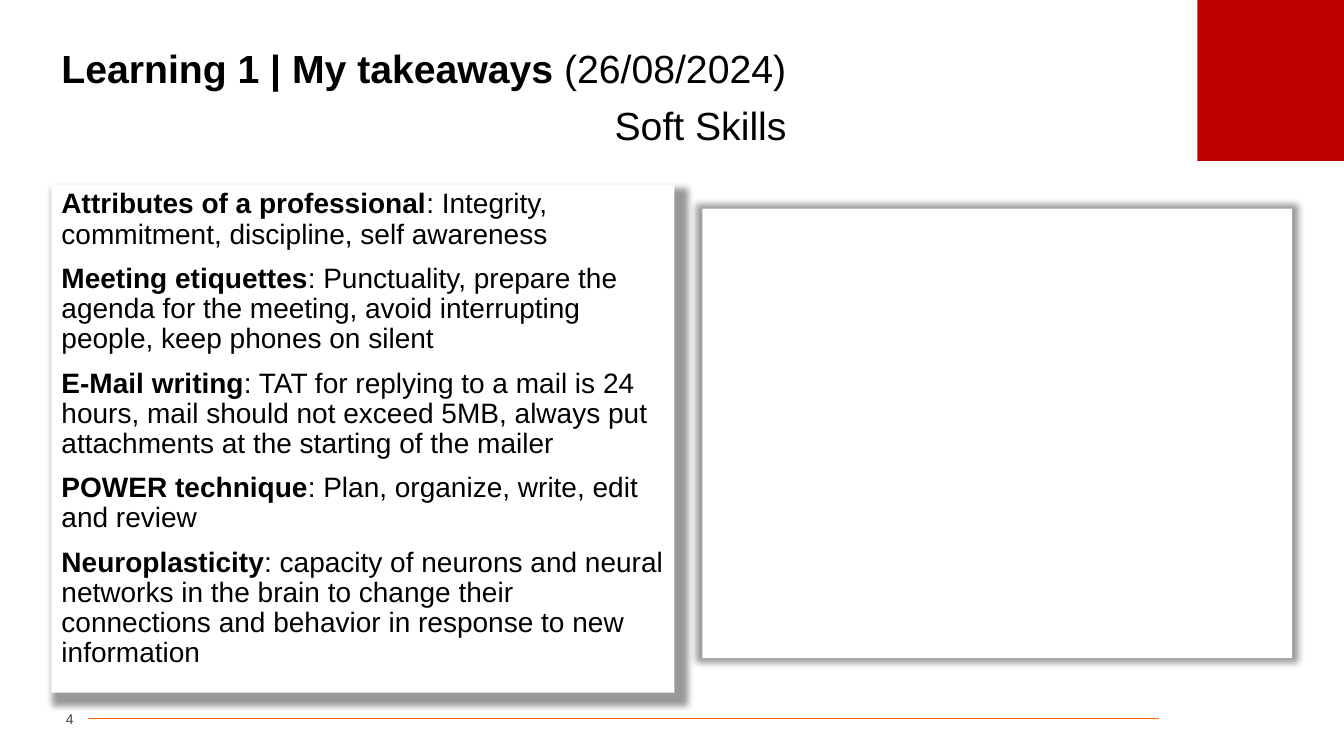
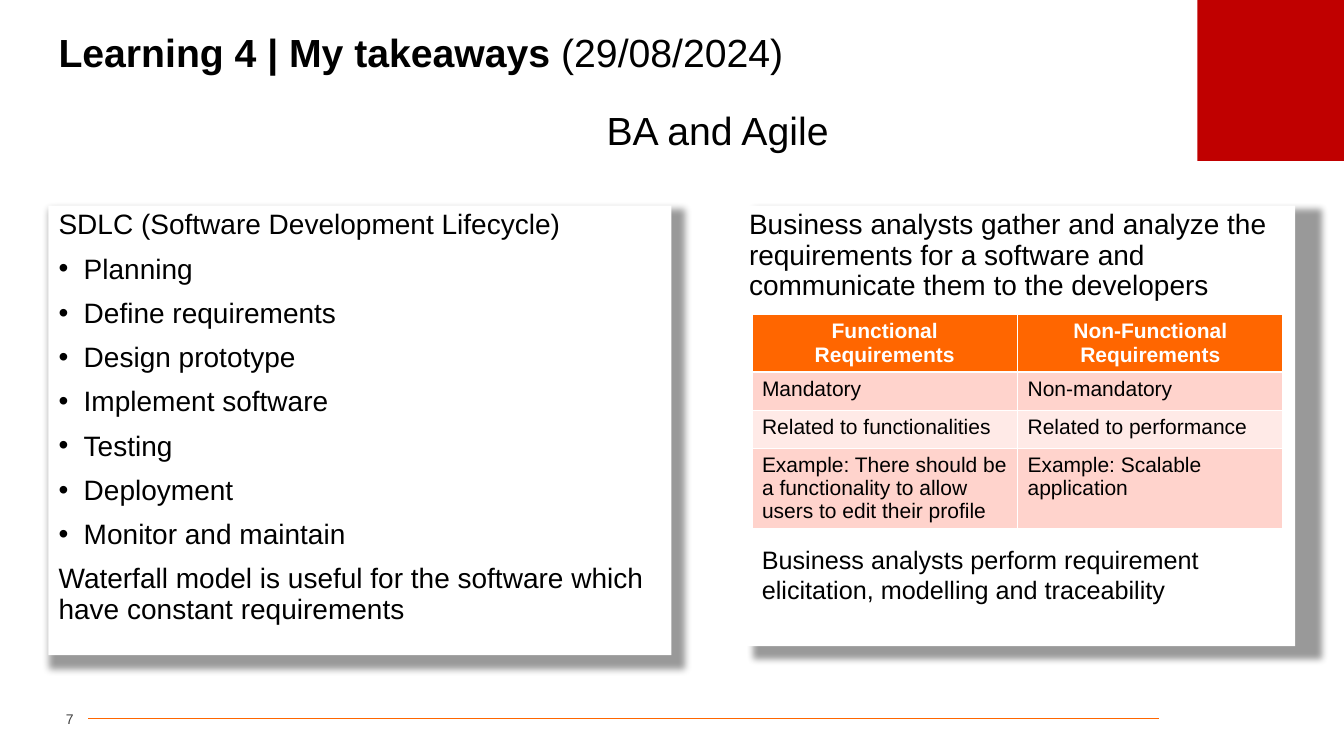
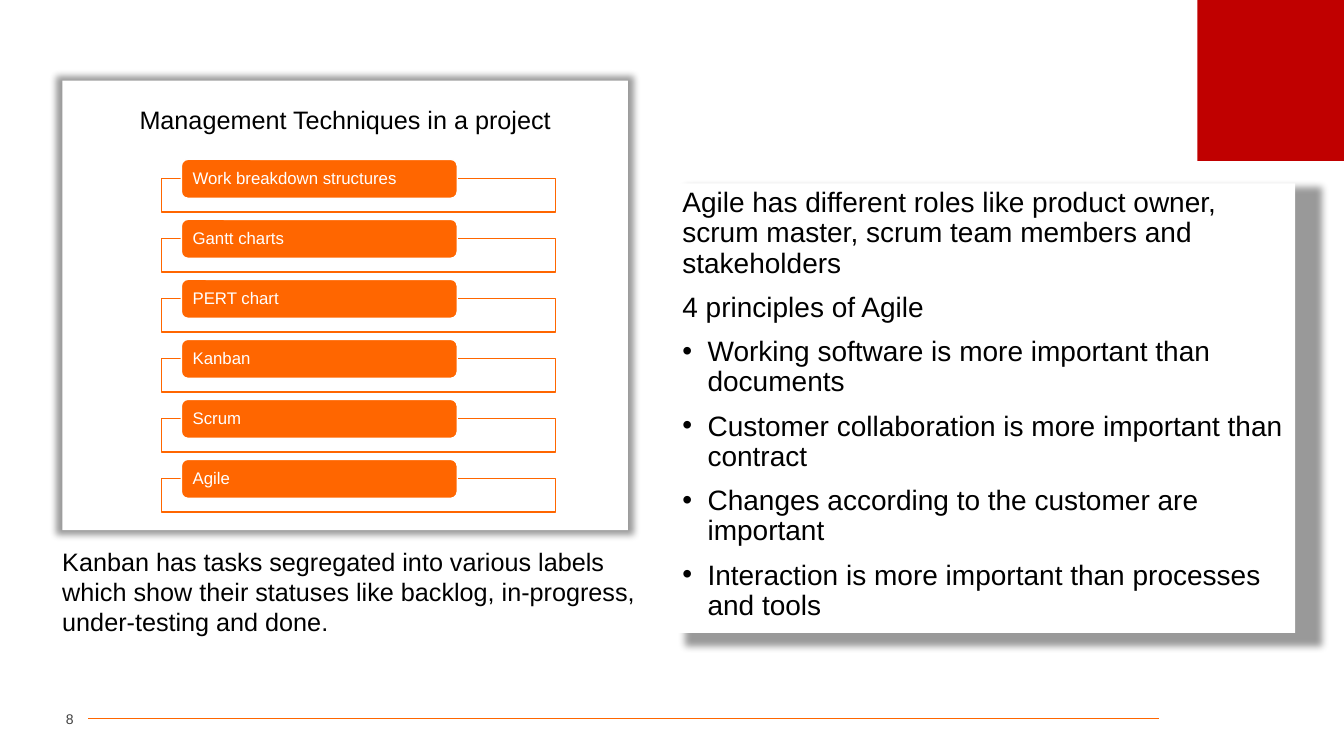
from dataclasses import dataclass

from lxml.etree import SubElement
from pptx import Presentation
from pptx.dml.color import RGBColor as RGB
from pptx.enum.shapes import MSO_CONNECTOR as CONNECTOR, MSO_SHAPE as SHAPE
from pptx.enum.text import MSO_ANCHOR as ANCHOR, MSO_AUTO_SIZE as AUTO_SIZE, PP_ALIGN as ALIGN
from pptx.oxml.ns import qn
from pptx.util import Pt


@dataclass(frozen=True)
class Theme:
    font: str = "Arial"
    black: RGB = RGB(0x00, 0x00, 0x00)
    white: RGB = RGB(0xFF, 0xFF, 0xFF)
    grey: RGB = RGB(0x40, 0x40, 0x40)
    red: RGB = RGB(0xC0, 0x00, 0x00)
    orange: RGB = RGB(0xFF, 0x66, 0x00)
    rose: RGB = RGB(0xFF, 0xD3, 0xCC)
    pale_rose: RGB = RGB(0xFF, 0xEA, 0xE7)
    title: Pt = Pt(28)
    body: Pt = Pt(20)
    caption: Pt = Pt(18)
    cell: Pt = Pt(15)
    label: Pt = Pt(12)
    number: Pt = Pt(10)


THEME = Theme()
TIGHT = {"line_spacing": 0.9}
LISTED = {"line_spacing": 0.9, "space_before": Pt(10)}
MIDDLE = {"vertical_anchor": ANCHOR.MIDDLE}
CENTRED = {"alignment": ALIGN.CENTER}
BULLET = "• "


def write(frame, paragraphs, size, color=THEME.black, layout={}, frame_format={}, bold=False):
    """Fill a text frame; a paragraph is a string or a (bold lead, plain rest) pair."""
    frame_values = {"word_wrap": True, "auto_size": AUTO_SIZE.NONE, **frame_format}
    for name, value in frame_values.items():
        setattr(frame, name, value)
    for index, content in enumerate(paragraphs):
        paragraph = frame.add_paragraph() if index else frame.paragraphs[0]
        for name, value in {"alignment": ALIGN.LEFT, **layout}.items():
            setattr(paragraph, name, value)
        pieces = [(content, bold)] if isinstance(content, str) else zip(content, (True, False))
        bulleted = isinstance(content, str) and content.startswith(BULLET)
        indent = Pt(18) if bulleted else 0
        properties = paragraph._p.get_or_add_pPr()
        properties.set("marL", str(indent))
        properties.set("indent", str(-indent))
        if bulleted:
            SubElement(properties, qn("a:buChar"), char=BULLET.strip())
        else:
            SubElement(properties, qn("a:buNone"))
        for text, is_bold in pieces:
            run = paragraph.add_run()
            run.text = text.removeprefix(BULLET)
            font_values = {"name": THEME.font, "size": size, "bold": is_bold}
            for name, value in font_values.items():
                setattr(run.font, name, value)
            run.font.color.rgb = color


def dress(shape, box, fill=None, outline=None, glow=False):
    """Place a shape at box (left, top, width, height in points) and paint it."""
    for name, value in zip(("left", "top", "width", "height"), box):
        setattr(shape, name, Pt(value))
    if fill is not None:
        shape.fill.solid()
        shape.fill.fore_color.rgb = fill
    if outline is None:
        shape.line.fill.background()
    else:
        shape.line.color.rgb = outline
        shape.line.width = Pt(1)
    shape.shadow.inherit = False
    if glow:
        effects = shape.element.spPr.find(qn("a:effectLst"))
        shadow = SubElement(effects, qn("a:outerShdw"), blurRad="63500", sx="102000",
                            sy="102000", algn="ctr", rotWithShape="0")
        tint = SubElement(shadow, qn("a:srgbClr"), val=str(THEME.black))
        SubElement(tint, qn("a:alpha"), val="40000")
    return shape


deck = Presentation()
deck.slide_width, deck.slide_height = Pt(960), Pt(540)
one_panel, two_panels = deck.slide_layouts[1], deck.slide_layouts[3]

# Shared corner block, footer rule and page number
pages = []
for layout, number in ((one_panel, "4"), (two_panels, "7"), (one_panel, "8")):
    page = deck.slides.add_slide(layout)
    pages.append(page)
    footer_rule = page.shapes.add_connector(CONNECTOR.STRAIGHT, Pt(63), Pt(513.2), Pt(828), Pt(513.2))
    footer_rule.line.color.rgb = THEME.orange
    footer_rule.line.width = Pt(0.5)
    SubElement(footer_rule.element.spPr, qn("a:effectLst"))
    dress(page.shapes.add_shape(SHAPE.RECTANGLE, 0, 0, 0, 0), (855.2, 0, 104.8, 115), THEME.red)
    page_number = dress(page.shapes.add_textbox(0, 0, 0, 0), (23.8, 503.3, 28.8, 20.9))
    write(page_number.text_frame, [number], THEME.number, THEME.grey, {"alignment": ALIGN.RIGHT},
          {**MIDDLE, "margin_left": 0, "margin_right": 0})
soft_skills, agile, techniques = pages

# Titles and topics
for page, corner, title, topic, topic_box in (
    (soft_skills, (36.7, 22.3), ("Learning 1 | My takeaways ", "(26/08/2024)"),
     "Soft Skills", (432, 71.3, 139.7, 40.3)),
    (agile, (34.6, 10.8), ("Learning 4 | My takeaways ", "(29/08/2024)"),
     "BA and Agile", (426.2, 72.7, 177.8, 44.6)),
):
    heading = dress(page.shapes.title, (*corner, 886.3, 56.2))
    write(heading.text_frame, [title], THEME.title, layout=TIGHT, frame_format=MIDDLE)
    topic_line = dress(page.shapes.add_textbox(0, 0, 0, 0), topic_box)
    write(topic_line.text_frame, [topic], THEME.title, layout=TIGHT, frame_format=MIDDLE)
unused_title = techniques.shapes.title.element
unused_title.getparent().remove(unused_title)

# Text panels
for page, holder, box, points in (
    (soft_skills, 1, (36.7, 131.8, 445, 362.9), [
        ("Attributes of a professional", ": Integrity, commitment, discipline, self awareness"),
        ("Meeting etiquettes", ": Punctuality, prepare the agenda for the meeting, "
         "avoid interrupting people, keep phones on silent"),
        ("E-Mail writing", ": TAT for replying to a mail is 24 hours, mail should not "
         "exceed 5MB, always put attachments at the starting of the mailer"),
        ("POWER technique", ": Plan, organize, write, edit and review"),
        ("Neuroplasticity", ": capacity of neurons and neural networks in the brain to change "
         "their connections and behavior in response to new information"),
    ]),
    (agile, 1, (34.6, 146.9, 445, 321.1), [
        "SDLC (Software Development Lifecycle)",
        "• Planning",
        "• Define requirements",
        "• Design prototype",
        "• Implement software",
        "• Testing",
        "• Deployment",
        "• Monitor and maintain",
        "Waterfall model is useful for the software which have constant requirements",
    ]),
    (agile, 2, (527.8, 146.9, 397.4, 314.6), [
        "Business analysts gather and analyze the requirements for a software "
        "and communicate them to the developers",
    ]),
    (techniques, 1, (480.2, 131, 445, 321.1), [
        "Agile has different roles like product owner, scrum master, "
        "scrum team members and stakeholders",
        "4 principles of Agile",
        "• Working software is more important than documents",
        "• Customer collaboration is more important than contract",
        "• Changes according to the customer are important",
        "• Interaction is more important than processes and tools",
    ]),
):
    panel = dress(page.placeholders[holder], box, THEME.white, glow=True)
    write(panel.text_frame, points, THEME.body, layout=LISTED)

# Panels without text of their own
for page, box in ((soft_skills, (501.8, 149, 421.2, 321.1)), (techniques, (44.6, 57.6, 403.9, 321.1))):
    dress(page.shapes.add_shape(SHAPE.RECTANGLE, 0, 0, 0, 0), box, THEME.white, glow=True)

# Requirements table
requirements = [
    ("Functional Requirements", "Non-Functional Requirements"),
    ("Mandatory", "Non-mandatory"),
    ("Related to functionalities", "Related to performance"),
    ("Example: There should be a functionality to allow users to edit their profile",
     "Example: Scalable application"),
]
row_heights = (41, 27.2, 27.2, 57.6)
comparison = agile.shapes.add_table(len(requirements), 2, Pt(537.1), Pt(224.8), Pt(379.4),
                                    Pt(sum(row_heights))).table
for row, (texts, height) in enumerate(zip(requirements, row_heights)):
    comparison.rows[row].height = Pt(height)
    header = row == 0
    fill = THEME.orange if header else (THEME.pale_rose, THEME.rose)[row % 2]
    for column, text in enumerate(texts):
        cell = comparison.cell(row, column)
        cell.fill.solid()
        cell.fill.fore_color.rgb = fill
        write(cell.text_frame, [text], THEME.cell, THEME.white if header else THEME.black,
              CENTRED if header else {}, bold=header)

# Management techniques
for step, technique in enumerate(
    ("Work breakdown structures", "Gantt charts", "PERT chart", "Kanban", "Scrum", "Agile")
):
    offset = step * 42.87
    dress(techniques.shapes.add_shape(SHAPE.RECTANGLE, 0, 0, 0, 0),
          (115.2, 127.6 + offset, 281.5, 23.8), THEME.white, THEME.orange)
    tab = dress(techniques.shapes.add_shape(SHAPE.ROUNDED_RECTANGLE, 0, 0, 0, 0),
                (129.6, 113.8 + offset, 197, 27.8), THEME.orange, THEME.white)
    write(tab.text_frame, [technique], THEME.label, THEME.white, TIGHT,
          {**MIDDLE, "margin_left": Pt(6.7), "margin_top": 0, "margin_bottom": 0})

# Captions
for page, box, caption, layout in (
    (agile, (537.1, 385.2, 379.4, 51.1),
     "Business analysts perform requirement elicitation, modelling and traceability", {}),
    (techniques, (83.5, 71.3, 326.2, 29.5), "Management Techniques in a project", CENTRED),
    (techniques, (37.4, 386.6, 427, 72.7),
     "Kanban has tasks segregated into various labels which show their statuses like backlog, "
     "in-progress, under-testing and done.", {}),
):
    note = dress(page.shapes.add_textbox(0, 0, 0, 0), box)
    write(note.text_frame, [caption], THEME.caption, layout=layout)

deck.save("out.pptx")
